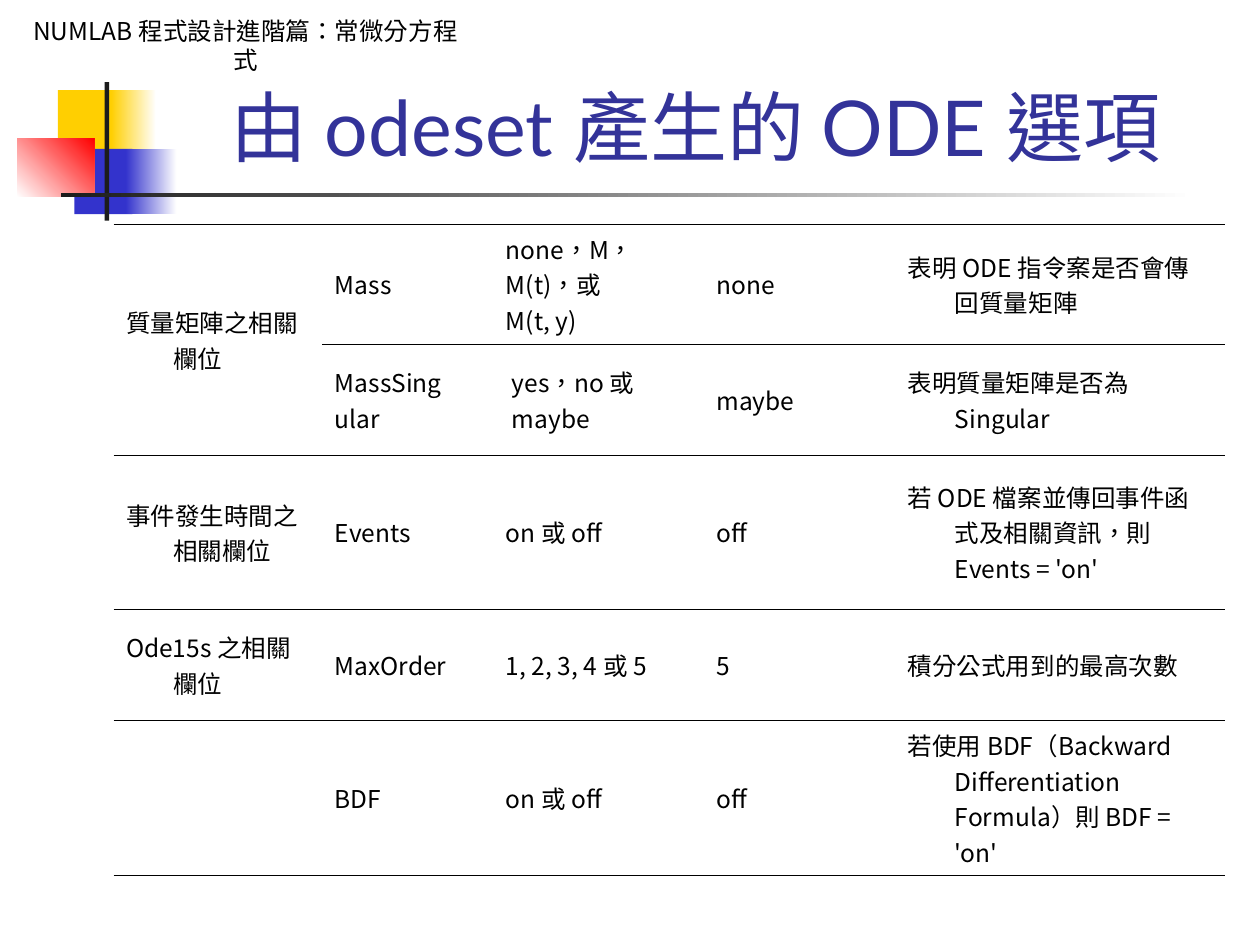
from dataclasses import dataclass

from lxml.etree import SubElement
from pptx import Presentation
from pptx.dml.color import RGBColor
from pptx.enum.shapes import MSO_SHAPE
from pptx.enum.text import MSO_ANCHOR, PP_ALIGN
from pptx.oxml.ns import qn
from pptx.util import Cm, Pt

INK = {
    "gold": "FFCF01",
    "blue": "3333CC",
    "red": "FF0000",
    "dark": "1C1C1C",
    "white": "FFFFFF",
    "black": "000000",
    "title": "333399",
}
HAN = "Noto Sans CJK SC"
THIN = Pt(0.06)


@dataclass
class Block:
    left: float
    top: float
    width: float
    height: float
    start: str
    end: str = ""
    angle: int = 0


@dataclass
class Entry:
    text: str
    shift: float = 0


BLOCKS = [
    Block(1.17, 1.82, 1.22, 1.32, "gold"),
    Block(2.24, 1.82, 0.91, 1.32, "gold", "white"),
    Block(1.5, 3, 1.17, 1.32, "blue"),
    Block(2.54, 3, 1.02, 1.32, "blue", "white"),
    Block(0.35, 2.79, 1.55, 1.18, "white", "red", 45),
    Block(2.11, 1.65, 0.09, 2.8, "dark"),
    Block(1.23, 3.89, 22.86, 0.09, "dark", "white"),
]
COLS = [4.21, 3.45, 4.24, 3.86, 6.64]
ROWS = [2.42, 2.24, 3.1, 2.24, 3.12]
GRID = [
    [Entry("質量矩陣之相關欄位"), Entry("Mass"), Entry("none，M，\nM(t)，或\nM(t, y)"),
     Entry("none"), Entry("表明 ODE 指令案是否會傳回質量矩陣")],
    [Entry(""), Entry("MassSing\nular"), Entry("yes，no 或\nmaybe", 0.12),
     Entry("maybe"), Entry("表明質量矩陣是否為 Singular")],
    [Entry("事件發生時間之相關欄位"), Entry("Events"), Entry("on 或 off"),
     Entry("off"), Entry("若 ODE 檔案並傳回事件函式及相關資訊，則 Events = 'on'")],
    [Entry("Ode15s 之相關欄位"), Entry("MaxOrder"), Entry("1, 2, 3, 4 或 5"),
     Entry("5"), Entry("積分公式用到的最高次數")],
    [Entry(""), Entry("BDF"), Entry("on 或 off"),
     Entry("off"), Entry("若使用 BDF（Backward Differentiation Formula）則 BDF = 'on'")],
]


def tint(name: str) -> RGBColor:
    return RGBColor.from_string(INK[name])


def add_run(para, text: str, size: int, face: str, ink: str) -> None:
    run = para.add_run()
    run.text = text
    run.font.size = Pt(size)
    run.font.color.rgb = tint(ink)
    run.font.name = face
    props = run.font._element
    props.set("lang", "zh-TW")
    SubElement(props, qn("a:ea")).set("typeface", HAN)


def draw_block(slide, block: Block):
    shape = slide.shapes.add_shape(
        MSO_SHAPE.RECTANGLE, Cm(block.left), Cm(block.top), Cm(block.width), Cm(block.height)
    )
    shape.shadow.inherit = False
    shape.line.fill.background()
    if block.end:
        shape.fill.gradient()
        shape.fill.gradient_angle = block.angle
        for stop, name in zip(shape.fill.gradient_stops, (block.start, block.end)):
            stop.color.rgb = tint(name)
    else:
        shape.fill.solid()
        shape.fill.fore_color.rgb = tint(block.start)
    return shape


def draw_head(slide) -> None:
    frame = draw_block(slide, Block(0.2, 0.2, 9.5, 1.45, "white")).text_frame
    frame.word_wrap = True
    frame.vertical_anchor = MSO_ANCHOR.TOP
    para = frame.paragraphs[0]
    para.alignment = PP_ALIGN.CENTER
    add_run(para, "NUMLAB 程式設計進階篇：常微分方程式", 14, HAN, "black")


def draw_title(slide) -> None:
    frame = slide.shapes.add_textbox(Cm(3.2), Cm(1.49), Cm(21.64), Cm(2.11)).text_frame
    frame.word_wrap = True
    frame.vertical_anchor = MSO_ANCHOR.BOTTOM
    para = frame.paragraphs[0]
    para.alignment = PP_ALIGN.CENTER
    add_run(para, "由 odeset 產生的 ODE 選項", 44, "Lato", "title")


def add_edge(props, side: str, width: int) -> None:
    edge = SubElement(props, qn(f"a:{side}"), w=str(width))
    if width:
        fill = SubElement(edge, qn("a:solidFill"))
        SubElement(fill, qn("a:srgbClr"), val=INK["black"])
    else:
        SubElement(edge, qn("a:noFill"))


def fill_cell(cell, entry: Entry) -> None:
    cell.vertical_anchor = MSO_ANCHOR.MIDDLE
    cell.margin_left = Cm(0.25 + entry.shift)
    cell.margin_right = Cm(0.25)
    cell.margin_top = cell.margin_bottom = Cm(0.13)
    props = cell._tc.get_or_add_tcPr()
    for side, width in (("lnL", 0), ("lnR", 0), ("lnT", THIN), ("lnB", THIN)):
        add_edge(props, side, width)
    cell.fill.background()
    frame = cell.text_frame
    for spot, line in enumerate(entry.text.split("\n")):
        para = frame.add_paragraph() if spot else frame.paragraphs[0]
        form = para._p.get_or_add_pPr()
        form.set("marL", str(Cm(0.95)))
        form.set("indent", str(-Cm(0.95)))
        if line:
            add_run(para, line, 14, HAN, "black")


def draw_table(slide) -> None:
    table = slide.shapes.add_table(
        len(ROWS), len(COLS), Cm(2.29), Cm(4.52), Cm(sum(COLS)), Cm(sum(ROWS))
    ).table
    table.first_row = table.horz_banding = False
    for col, width in zip(table.columns, COLS):
        col.width = Cm(width)
    for row, height in zip(table.rows, ROWS):
        row.height = Cm(height)
    for down, line in enumerate(GRID):
        for across, entry in enumerate(line):
            fill_cell(table.cell(down, across), entry)
    table.cell(0, 0).merge(table.cell(1, 0))


def main() -> None:
    deck = Presentation()
    deck.slide_width, deck.slide_height = Cm(25.4), Cm(19.05)
    slide = deck.slides.add_slide(deck.slide_layouts[6])
    for block in BLOCKS:
        draw_block(slide, block)
    draw_head(slide)
    draw_title(slide)
    draw_table(slide)
    deck.save("out.pptx")


if __name__ == "__main__":
    main()
